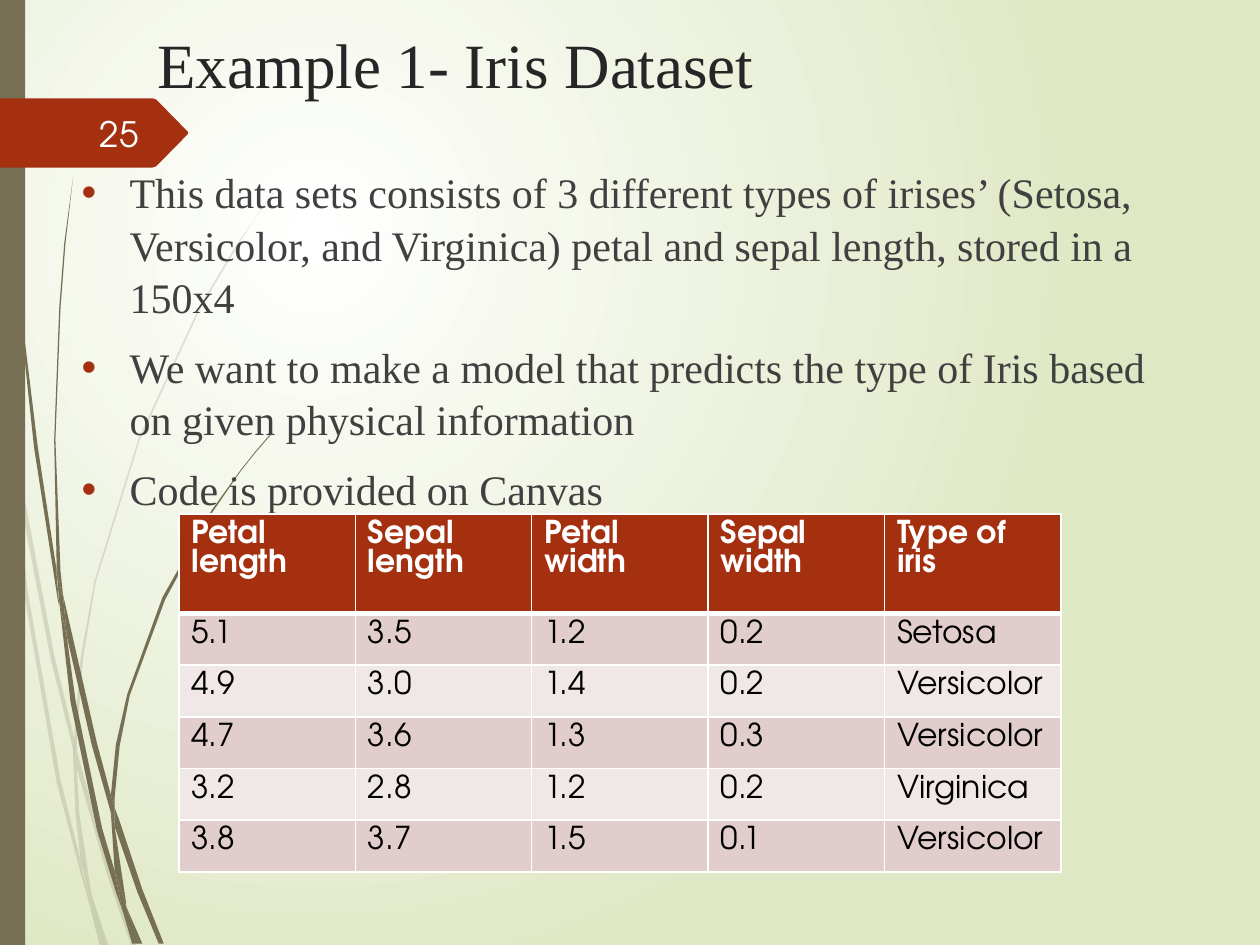
from lxml import etree
from pptx import Presentation
from pptx.dml.color import RGBColor
from pptx.enum.shapes import MSO_SHAPE
from pptx.enum.text import MSO_ANCHOR, PP_ALIGN
from pptx.oxml import parse_xml
from pptx.oxml.ns import nsdecls, qn
from pptx.util import Inches, Pt

RECT = MSO_SHAPE.RECTANGLE
TOP, MIDDLE = MSO_ANCHOR.TOP, MSO_ANCHOR.MIDDLE
LEFT, RIGHT = PP_ALIGN.LEFT, PP_ALIGN.RIGHT
SERIF, SANS = "Times New Roman", "TeX Gyre Adventor"
COLORS = {
    "olive": "766F54", "rust": "A53010", "title": "262626", "body": "404040",
    "number": "FEFFFF", "white": "FFFFFF", "black": "000000",
    "band_dark": "E1CDCC", "band_light": "F0E8E7", "edge": "DFE8C4",
}
TITLE = {"name": SERIF, "size": Pt(36), "color": "title"}
BODY = {"name": SERIF, "size": Pt(24), "color": "body"}
NUMBER = {"name": SANS, "size": Pt(20), "color": "number"}
HEADER = {"name": SANS, "size": Pt(18), "color": "white", "bold": True}
CELL = {"name": SANS, "size": Pt(18), "color": "black", "bold": False}

BULLETS = [
    "This data sets consists of 3 different types of irises’ (Setosa, Versicolor, "
    "and Virginica) petal and sepal length, stored in a 150x4",
    "We want to make a model that predicts the type of Iris based on given physical information",
    "Code is provided on Canvas",
]
IRIS_ROWS = [
    ["Petal length", "Sepal length", "Petal width", "Sepal width", "Type of iris"],
    ["5.1", "3.5", "1.2", "0.2", "Setosa"],
    ["4.9", "3.0", "1.4", "0.2", "Versicolor"],
    ["4.7", "3.6", "1.3", "0.3", "Versicolor"],
    ["3.2", "2.8", "1.2", "0.2", "Virginica"],
    ["3.8", "3.7", "1.5", "0.1", "Versicolor"],
]
PALE_WISPS = [
    [(0.08, 3.5), (0.06, 3.22), (0, 2.82), (0, 2.99), (0.07, 3.44)],
    [(0.4, 5.22), (0.59, 5.99), (0.59, 5.86), (0.43, 5.2), (0.1, 3.45), (0.12, 3.76)],
    [(0.64, 6.07), (0.61, 5.96), (0.61, 6.1), (0.85, 6.94), (1.04, 7.5), (1.08, 7.5), (0.88, 6.92)],
    [(0.83, 7.5), (0.86, 7.5), (0.73, 7.11)],
    [(0.64, 6.83), (0.48, 6.19), (0.22, 4.69), (0.12, 3.76), (0.08, 3.5), (0.19, 4.7),
     (0.45, 6.21), (0.64, 6.93), (0.7, 7.14), (0.69, 7.07)],
    [(0.58, 5.99), (0.6, 6.46), (0.64, 6.83), (0.67, 6.92), (0.73, 7.11), (0.72, 7.06),
     (0.63, 6.46), (0.61, 6.1), (0.61, 6.08)],
    [(0.61, 5.84), (0.66, 5.22), (0.76, 4.62), (1.11, 3.49), (1.59, 2.45), (1.87, 1.98),
     (2.01, 1.75), (2.17, 1.54), (2.17, 1.53), (2.01, 1.75), (1.86, 1.97), (1.58, 2.44),
     (1.1, 3.48), (0.75, 4.61), (0.64, 5.22), (0.59, 5.84), (0.59, 5.86), (0.61, 5.96)],
    [(0.7, 7.14), (0.79, 7.5), (0.82, 7.5)],
    [(0.61, 6.08), (0.61, 6.1), (0.61, 5.96), (0.59, 5.86), (0.58, 5.99)],
    [(0.67, 6.92), (0.65, 6.83), (0.69, 7.07), (0.7, 7.14), (0.82, 7.5), (0.83, 7.5), (0.73, 7.11)],
]
DARK_WISPS = [
    [(0.05, 1.1), (0.14, 2.33), (0.27, 3.55), (0.46, 4.77), (0.47, 4.81), (0.45, 4.57),
     (0.45, 4.53), (0.3, 3.55), (0.15, 2.32), (0.06, 1.09), (0.04, 0.48), (0.03, 0),
     (0.02, 0), (0.03, 0.48)],
    [(0.73, 5.92), (0.88, 6.45), (0.88, 6.31), (0.77, 5.9), (0.5, 4.72), (0.53, 5.05)],
    [(0.94, 6.49), (0.91, 6.41), (0.91, 6.56), (1.09, 7.08), (1.26, 7.49), (1.3, 7.49), (1.13, 7.06)],
    [(0.91, 6.91), (0.81, 6.57), (0.6, 5.56), (0.53, 5.05), (0.47, 4.77), (0.56, 5.57),
     (0.77, 6.59), (0.92, 7.08), (0.97, 7.22), (0.96, 7.17)],
    [(0.5, 4.72), (0.48, 4.53), (0.44, 3.49), (0.48, 2.45), (0.52, 1.93), (0.58, 1.41),
     (0.51, 1.93), (0.47, 2.45), (0.43, 3.49), (0.45, 4.49), (0.49, 4.72)],
    [(1.1, 7.49), (1.13, 7.49), (1, 7.19)],
    [(0.47, 4.77), (0.53, 5.05), (0.5, 4.72), (0.49, 4.72), (0.45, 4.49), (0.45, 4.53)],
    [(0.91, 6.33), (0.95, 5.92), (1.03, 5.52), (1.31, 4.76), (1.69, 4.06), (1.91, 3.74),
     (2.03, 3.59), (2.16, 3.44), (2.15, 3.44), (2.03, 3.58), (1.91, 3.73), (1.68, 4.05),
     (1.29, 4.74), (1.01, 5.51), (0.92, 5.91), (0.88, 6.31), (0.91, 6.41)],
    [(0.97, 7.22), (1.05, 7.49), (1.08, 7.49)],
    [(0.88, 6.45), (0.91, 6.91), (0.96, 7.06), (1, 7.19), (1, 7.16), (0.91, 6.56), (0.9, 6.51)],
    [(0.88, 6.45), (0.9, 6.51), (0.91, 6.56), (0.91, 6.41), (0.88, 6.31)],
    [(0.96, 7.06), (0.91, 6.91), (0.96, 7.17), (0.97, 7.22), (1.08, 7.49), (1.1, 7.49), (1, 7.19)],
]


def rgb(key):
    return RGBColor.from_string(COLORS[key])


def paint(sp, color):
    sp.shadow.inherit = False
    sp.fill.solid()
    sp.fill.fore_color.rgb = rgb(color)
    sp.line.fill.background()


def set_font(font, fmt):
    for key, value in fmt.items():
        if key == "color":
            font.color.rgb = rgb(value)
        else:
            setattr(font, key, value)


def add_outline(shapes, points, x, y, color):
    pts = [(x + Inches(px), y + Inches(py)) for px, py in points]
    builder = shapes.build_freeform(*pts[0])
    builder.add_line_segments(pts[1:], close=True)
    sp = builder.convert_to_shape()
    paint(sp, color)
    return sp


def add_wisps(s, x, y, wisps, alpha=100):
    group = s.shapes.add_group_shape()
    for wisp in wisps:
        sp = add_outline(group.shapes, wisp, x, y, "olive")
        clr = sp._element.find(".//" + qn("a:srgbClr"))
        etree.SubElement(clr, qn("a:alpha")).set("val", str(alpha * 1000))


def add_background(s):
    s._element.cSld.insert(0, parse_xml(
        f'<p:bg {nsdecls("p", "a")}><p:bgPr><a:gradFill rotWithShape="1"><a:gsLst>'
        f'<a:gs pos="0"><a:srgbClr val="{COLORS["white"]}"/></a:gs>'
        f'<a:gs pos="100000"><a:srgbClr val="{COLORS["edge"]}"/></a:gs></a:gsLst>'
        '<a:path path="circle"><a:fillToRect l="50000" t="50000" r="100000" b="100000"/></a:path>'
        '</a:gradFill><a:effectLst/></p:bgPr></p:bg>'))


def add_text(s, box, lines, fmt, anchor=TOP, align=LEFT):
    tf = s.shapes.add_textbox(*box).text_frame
    tf.word_wrap = True
    tf.vertical_anchor = anchor
    for i, line in enumerate(lines):
        p = tf.add_paragraph() if i else tf.paragraphs[0]
        p.alignment = align
        r = p.add_run()
        r.text = line
        set_font(r.font, fmt)
    return tf


def add_bullets(s, box):
    for i, p in enumerate(add_text(s, box, BULLETS, BODY).paragraphs):
        pPr = p._p.get_or_add_pPr()
        pPr.set("marL", str(Inches(0.38)))
        pPr.set("indent", str(-Inches(0.38)))
        clr = etree.SubElement(pPr, qn("a:buClr"))
        etree.SubElement(clr, qn("a:srgbClr")).set("val", COLORS["rust"])
        etree.SubElement(pPr, qn("a:buFont")).set("typeface", "Arial")
        etree.SubElement(pPr, qn("a:buChar")).set("char", "•")
        p.line_spacing = 1.04
        p.space_before = Pt(10 if i else 0)


def add_page_tag(s, x, y, w, h):
    tip, half = w / Inches(1), h / Inches(1) / 2
    upper = [(0, 0), (tip - 0.28, 0), (tip - 0.25, 0.01), (tip, half - 0.01)]
    lower = [(px, 2 * half - py) for px, py in reversed(upper)]
    add_outline(s.shapes, upper + lower, x, y, "rust")
    box = (x + Inches(0.56), y + Inches(0.08), Inches(0.64), Inches(0.4))
    add_text(s, box, ["25"], NUMBER, MIDDLE, RIGHT)


def set_borders(cell, widths):
    tcPr = cell._tc.get_or_add_tcPr()
    for i, (side, width) in enumerate(widths.items()):
        tcPr.insert(i, parse_xml(
            f'<a:{side} {nsdecls("a")} w="{Pt(width)}"><a:solidFill>'
            f'<a:srgbClr val="{COLORS["white"]}"/></a:solidFill></a:{side}>'))


def add_iris_table(s, x, y, w, h):
    table = s.shapes.add_table(len(IRIS_ROWS), len(IRIS_ROWS[0]), x, y, w, h).table
    row_h = Inches(0.41)
    for i, values in enumerate(IRIS_ROWS):
        table.rows[i].height = row_h if i else h - row_h * (len(IRIS_ROWS) - 1)
        fill = ("band_light", "band_dark")[i % 2] if i else "rust"
        for j, value in enumerate(values):
            cell = table.cell(i, j)
            cell.text = value
            cell.fill.solid()
            cell.fill.fore_color.rgb = rgb(fill)
            set_font(cell.text_frame.paragraphs[0].runs[0].font, CELL if i else HEADER)
            set_borders(cell, {"lnL": 1, "lnR": 1, "lnT": 3 if i == 1 else 1, "lnB": 1 if i else 3})


def main():
    prs = Presentation()
    prs.slide_width, prs.slide_height = Inches(10), Inches(7.5)
    s = prs.slides.add_slide(prs.slide_layouts[6])
    add_background(s)
    add_wisps(s, 0, 0, PALE_WISPS, 20)
    add_wisps(s, 0, 0, DARK_WISPS)
    paint(s.shapes.add_shape(RECT, 0, 0, Inches(0.2), prs.slide_height), "olive")
    add_text(s, (Inches(1.15), Inches(0.15), Inches(8.85), Inches(1.25)),
             ["Example 1- Iris Dataset"], TITLE)
    add_bullets(s, (Inches(0.55), Inches(1.26), Inches(9), Inches(5.58)))
    add_page_tag(s, 0, Inches(0.78), Inches(1.49), Inches(0.55))
    add_iris_table(s, Inches(1.42), Inches(4.08), Inches(7), Inches(2.84))
    prs.save("out.pptx")


if __name__ == "__main__":
    main()
